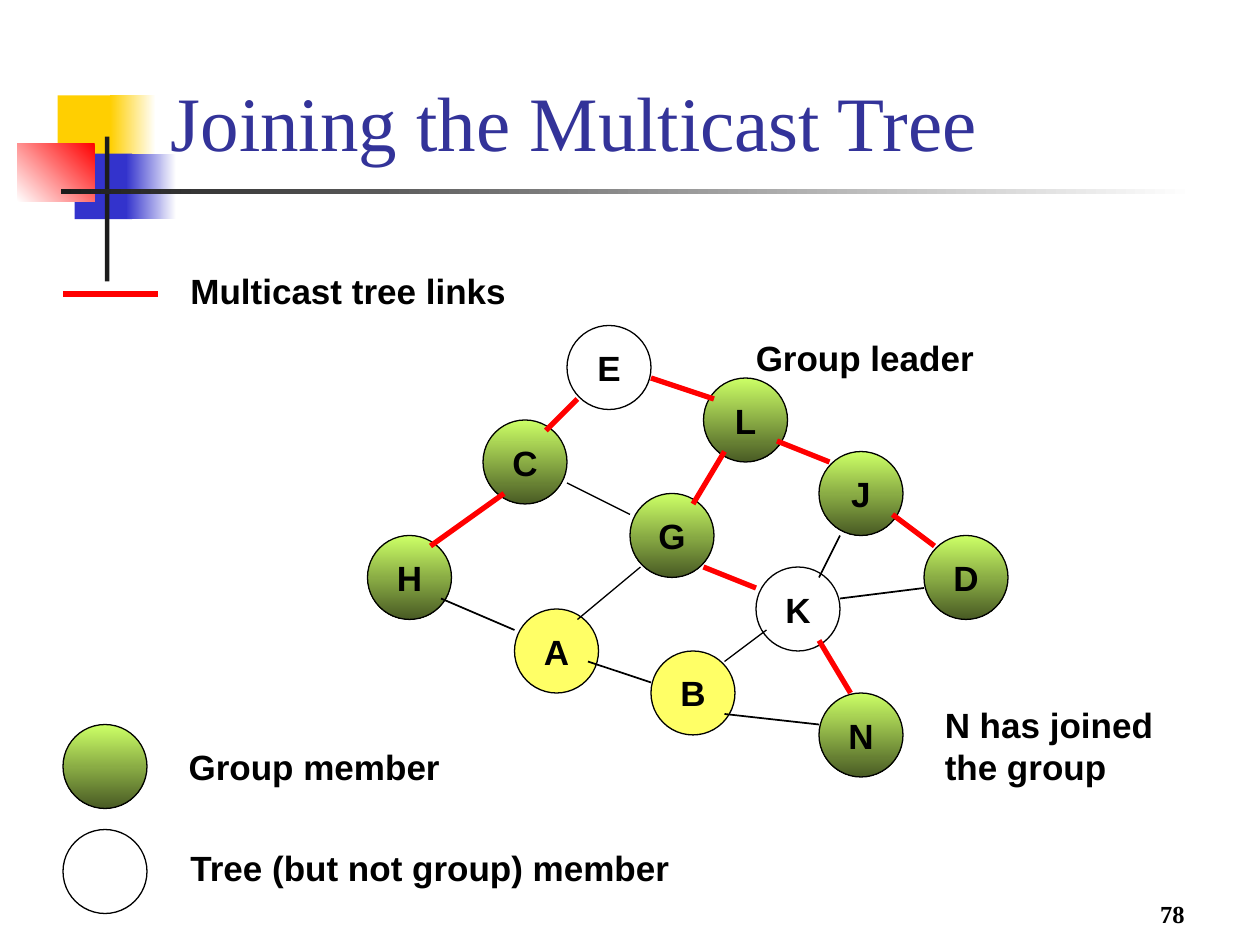
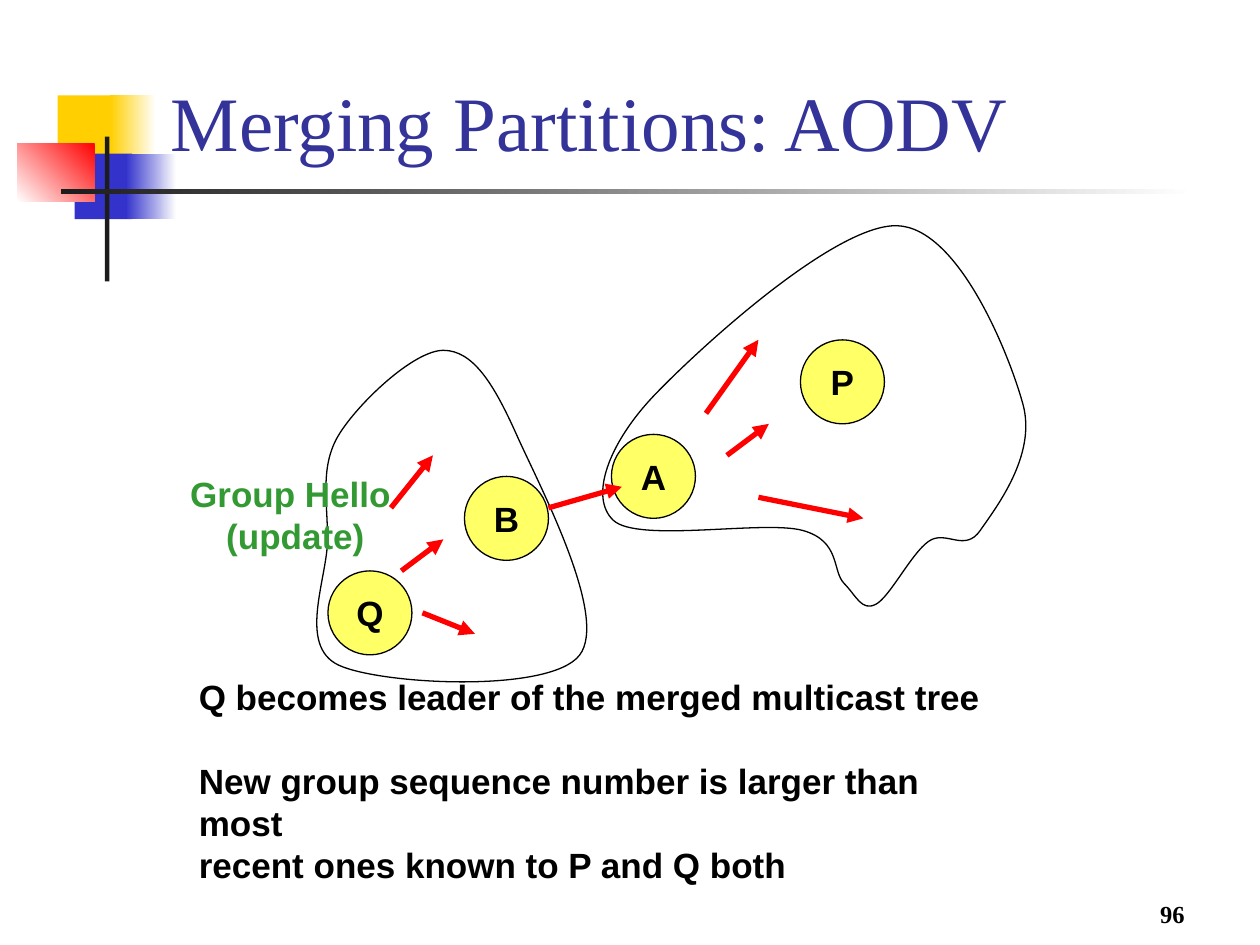
from lxml import etree
from pptx import Presentation
from pptx.dml.color import RGBColor
from pptx.enum.shapes import MSO_CONNECTOR, MSO_SHAPE
from pptx.enum.text import MSO_ANCHOR, PP_ALIGN
from pptx.oxml.ns import qn
from pptx.util import Pt

RECT, OVAL, STRAIGHT = MSO_SHAPE.RECTANGLE, MSO_SHAPE.OVAL, MSO_CONNECTOR.STRAIGHT
LEFT, CENTER, RIGHT = PP_ALIGN.LEFT, PP_ALIGN.CENTER, PP_ALIGN.RIGHT
MIDDLE, BOTTOM = MSO_ANCHOR.MIDDLE, MSO_ANCHOR.BOTTOM

BLACK = RGBColor(0x00, 0x00, 0x00)
WHITE = RGBColor(0xFF, 0xFF, 0xFF)
RED = RGBColor(0xFF, 0x00, 0x00)
GOLD = RGBColor(0xFF, 0xCF, 0x01)
BLUE = RGBColor(0x33, 0x33, 0xCC)
CHARCOAL = RGBColor(0x1C, 0x1C, 0x1C)
TITLE_BLUE = RGBColor(0x33, 0x33, 0x99)
YELLOW = RGBColor(0xFF, 0xFF, 0x66)
LIME = RGBColor(0xCC, 0xFF, 0x66)
OLIVE = RGBColor(0x49, 0x5B, 0x24)
GREEN = RGBColor(0x33, 0x99, 0x33)

SANS, SERIF = "Arial", "Times New Roman"
NODE_SIZE = 48

# Fills: None, one colour, or (start, end, counter-clockwise angle)
MEMBER = (LIME, OLIVE, 270)
TREE_ONLY = None
OUTSIDER = YELLOW

# Left, top, width, height and fill of the corner ornament
ORNAMENT = [
    (33, 54.5, 34.5, 37.5, GOLD),
    (63, 54.5, 26, 37.5, (WHITE, GOLD, 180)),
    (42.6, 87.8, 33, 37.5, BLUE),
    (72, 87.8, 28.8, 37.5, (WHITE, BLUE, 180)),
    (9.8, 81.8, 44.3, 33.5, (RED, WHITE, 225)),
    (60, 78, 2.5, 82.8, CHARCOAL),
    (35, 108.2, 648, 2.5, (WHITE, CHARCOAL, 180)),
]

JOINING = {
    "title": "Joining the Multicast Tree",
    "page": "78",
    "regions": [],
    "nodes": [
        ("E", 324, 186, TREE_ONLY), ("L", 402, 216, MEMBER),
        ("H", 210, 306, MEMBER), ("J", 468, 258, MEMBER),
        ("D", 528, 306, MEMBER), ("C", 276, 240, MEMBER),
        ("G", 360, 282, MEMBER), ("A", 294, 348, OUTSIDER),
        ("K", 432, 324, TREE_ONLY), ("N", 468, 396, MEMBER),
        ("B", 372, 372, OUTSIDER),
        ("", 36, 414, MEMBER), ("", 36, 474, TREE_ONLY),
    ],
    # (colour, width, arrow, [(from x, from y, to x, to y)])
    "links": [
        (RED, 3, False, [
            (288, 282, 246, 312), (330, 228, 312, 246), (372, 216, 408, 228),
            (414, 258, 396, 288), (444, 252, 474, 264), (402, 324, 432, 336),
            (510, 294, 534, 312), (486, 396, 468, 366), (36, 168, 90, 168)]),
        (BLACK, 0.75, False, [
            (324, 276, 360, 294), (366, 324, 330, 354), (438, 360, 414, 378)]),
        (BLACK, 1, False, [
            (252, 342, 294, 360), (528, 336, 480, 342), (372, 390, 336, 378),
            (414, 408, 468, 414), (480, 306, 468, 330)]),
    ],
    # (left, top, width, height, wrap, colour, alignment, [(line, space before)])
    "labels": [
        (424.8, 188.8, 141, 31.5, False, BLACK, LEFT, [("Group leader", 0)]),
        (532.8, 398, 136, 55.5, False, BLACK, LEFT,
         [("N has joined", 0), ("the group", 0)]),
        (101.7, 150, 197, 31.5, False, BLACK, LEFT, [("Multicast tree links", 0)]),
        (100.7, 422.5, 160, 31.5, False, BLACK, LEFT, [("Group member", 0)]),
        (101.7, 480.2, 292, 31.5, False, BLACK, LEFT,
         [("Tree (but not group) member", 0)]),
    ],
}

MERGING = {
    "title": "Merging Partitions: AODV",
    "page": "96",
    # Points that each closed smooth outline passes through
    "regions": [
        [(193.7, 248.4), (253.4, 200.2), (295.2, 248.4), (331.2, 374.4),
         (193.7, 380.2), (187.2, 308.2)],
        [(374.4, 225.4), (512.6, 129), (584.6, 231.1), (560.2, 303.1),
         (530.6, 309.4), (500.4, 345.4), (482.4, 333.4), (458.6, 303.1),
         (350.6, 297.4)],
    ],
    "nodes": [
        ("A", 349.4, 248.2, OUTSIDER), ("P", 457.4, 194.2, OUTSIDER),
        ("Q", 187.4, 326.2, OUTSIDER), ("B", 265.4, 272.2, OUTSIDER),
    ],
    "links": [
        (RED, 3, True, [
            (313.4, 290.2, 355.4, 278.2), (229.4, 326.2, 253.4, 308.2),
            (241.4, 350.2, 271.4, 362.2), (415.4, 260.2, 439.4, 242.2),
            (223.4, 290.2, 247.4, 260.2), (403.4, 236.2, 433.4, 194.2),
            (433.4, 284.2, 493.4, 296.2)]),
    ],
    "labels": [
        (101.5, 266.1, 134.6, 55.5, False, GREEN, CENTER,
         [("Group Hello ", 0), ("(update)", 0)]),
        (106.5, 382.4, 478.8, 127.4, True, BLACK, LEFT,
         [("Q becomes leader of the merged multicast tree", 0),
          ("New group sequence number is larger than most", 24),
          ("recent ones known to P and Q both", 0)]),
    ],
}


def write(frame, lines, font_name, size, color, align, anchor, bold=True, wrap=True):
    frame.word_wrap = wrap
    frame.vertical_anchor = anchor
    for i, (line, space_before) in enumerate(lines):
        paragraph = frame.paragraphs[0] if i == 0 else frame.add_paragraph()
        paragraph.alignment = align
        paragraph.line_spacing = Pt(size * 1.2)
        paragraph.space_before = Pt(space_before)
        run = paragraph.add_run()
        run.text = line
        run.font.name, run.font.size, run.font.bold = font_name, Pt(size), bold
        run.font.color.rgb = color


def draw(slide, kind, left, top, width, height, fill):
    shape = slide.shapes.add_shape(kind, Pt(left), Pt(top), Pt(width), Pt(height))
    shape.shadow.inherit = False
    shape.line.fill.background()
    if fill is None:
        shape.fill.background()
    elif isinstance(fill, RGBColor):
        shape.fill.solid()
        shape.fill.fore_color.rgb = fill
    else:
        start, end, angle = fill
        shape.fill.gradient()
        shape.fill.gradient_angle = angle
        for stop, color, position in zip(shape.fill.gradient_stops, (start, end), (0, 1)):
            stop.color.rgb = color
            stop.position = position
    return shape


prs = Presentation()
prs.slide_width, prs.slide_height = Pt(720), Pt(540)
title_only = prs.slide_layouts[5]

for content in (JOINING, MERGING):
    slide = prs.slides.add_slide(title_only)

    # Ornament, title and page number
    for bar in ORNAMENT:
        draw(slide, RECT, *bar)
    title = slide.shapes.title
    title.left, title.top, title.width, title.height = Pt(90.3), Pt(8.9), Pt(613.4), Pt(90)
    write(title.text_frame, [(content["title"], 0)], SERIF, 44, TITLE_BLUE,
          LEFT, BOTTOM, bold=False)
    page = slide.shapes.add_textbox(Pt(534), Pt(498), Pt(150), Pt(36))
    write(page.text_frame, [(content["page"], 0)], SERIF, 14, BLACK, RIGHT, BOTTOM)

    # Partition outlines: each handle is a sixth of the step between neighbours
    for points in content["regions"]:
        curve = []
        for i, p1 in enumerate(points):
            p0, p2, p3 = (points[(i + k) % len(points)] for k in (-1, 1, 2))
            curve += [
                [Pt(b + (c - a) / 6) for a, b, c in zip(p0, p1, p2)],
                [Pt(c - (d - b) / 6) for b, c, d in zip(p1, p2, p3)],
                [Pt(c) for c in p2]]
        builder = slide.shapes.build_freeform(*curve[-1])
        builder.add_line_segments(curve, close=True)
        region = builder.convert_to_shape()
        region.shadow.inherit = False
        region.fill.background()
        region.line.color.rgb = BLACK
        region.line.width = Pt(0.75)
        # Turn every three segments into one Bezier curve
        segments = list(region.element.iter(qn("a:lnTo")))
        for i in range(0, len(segments), 3):
            bezier = etree.Element(qn("a:cubicBezTo"))
            segments[i].addprevious(bezier)
            for segment in segments[i:i + 3]:
                bezier.append(segment[0])
                segment.getparent().remove(segment)

    # Network nodes
    for letter, left, top, fill in content["nodes"]:
        node = draw(slide, OVAL, left, top, NODE_SIZE, NODE_SIZE, fill)
        node.line.color.rgb = BLACK
        node.line.width = Pt(0.75)
        if letter:
            write(node.text_frame, [(letter, 0)], SANS, 20, BLACK, CENTER, MIDDLE, wrap=False)

    # Links and message arrows
    for color, width, has_arrow, ends in content["links"]:
        for x1, y1, x2, y2 in ends:
            link = slide.shapes.add_connector(STRAIGHT, Pt(x1), Pt(y1), Pt(x2), Pt(y2))
            link.line.color.rgb = color
            link.line.width = Pt(width)
            if has_arrow:
                etree.SubElement(link.get_or_add_ln(), qn("a:tailEnd"), type="triangle")
            etree.SubElement(link.element.spPr, qn("a:effectLst"))

    # Labels
    for left, top, width, height, wrap, color, align, lines in content["labels"]:
        label = slide.shapes.add_textbox(Pt(left), Pt(top), Pt(width), Pt(height))
        write(label.text_frame, lines, SANS, 20, color, align, MIDDLE, wrap=wrap)

prs.save("out.pptx")
